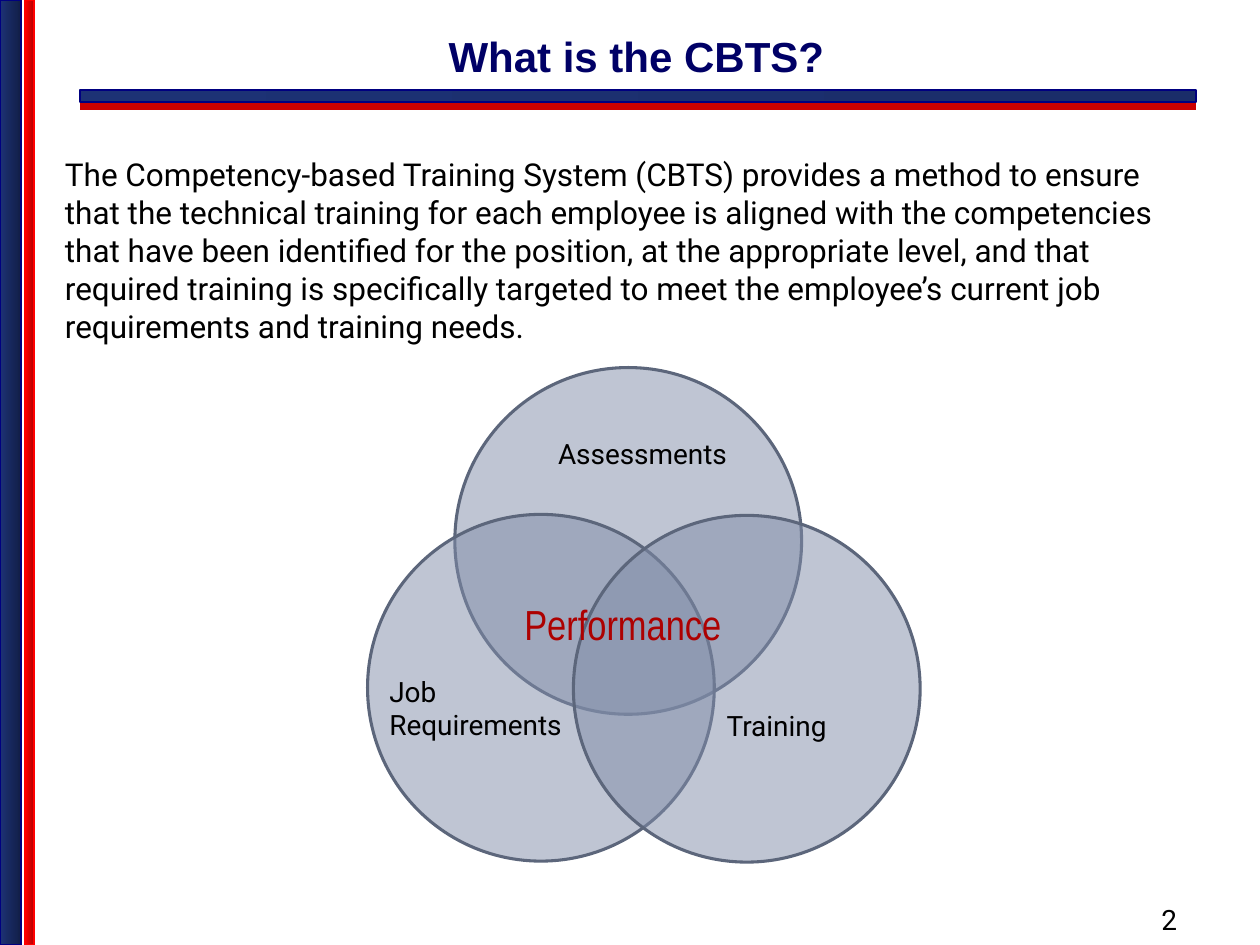
from lxml import etree
from pptx import Presentation
from pptx.dml.color import RGBColor
from pptx.enum.shapes import MSO_CONNECTOR, MSO_SHAPE
from pptx.enum.text import MSO_ANCHOR, PP_ALIGN
from pptx.oxml.ns import qn
from pptx.util import Cm, Pt

RECTANGLE, OVAL = MSO_SHAPE.RECTANGLE, MSO_SHAPE.OVAL
STRAIGHT = MSO_CONNECTOR.STRAIGHT
LEFT, CENTER = PP_ALIGN.LEFT, PP_ALIGN.CENTER
TOP, BOTTOM = MSO_ANCHOR.TOP, MSO_ANCHOR.BOTTOM

BLACK = RGBColor(0x00, 0x00, 0x00)
TITLE_NAVY = RGBColor(0x00, 0x00, 0x66)
EDGE_NAVY = RGBColor(0x00, 0x00, 0x80)
BAR_BLUE = RGBColor(0x1D, 0x32, 0x75)
RULE_BLUE = RGBColor(0x1A, 0x2D, 0x69)
DEEP_BLUE = RGBColor(0x11, 0x1E, 0x46)
RED = RGBColor(0xFF, 0x00, 0x00)
DARK_RED = RGBColor(0xB2, 0x00, 0x00)
RULE_RED = RGBColor(0xCC, 0x00, 0x00)
FOCUS_RED = RGBColor(0xAD, 0x01, 0x01)
CIRCLE_FILL = RGBColor(0x80, 0x8D, 0xA9)
CIRCLE_EDGE = RGBColor(0x5C, 0x66, 0x7B)

SLIDE_WIDTH, SLIDE_HEIGHT = 25.4, 19.05
DIAMETER = 6.99
BODY = (
    "The Competency-based Training System (CBTS) provides a method to ensure "
    "that the technical training for each employee is aligned with the "
    "competencies that have been identified for the position, at the "
    "appropriate level, and that required training is specifically targeted "
    "to meet the employee’s current job requirements and training needs."
)


def add_bar(slide, left, top, width, height, colors, edge):
    """Rectangle with a left-to-right gradient."""
    bar = slide.shapes.add_shape(RECTANGLE, Cm(left), Cm(top), Cm(width), Cm(height))
    bar.shadow.inherit = False
    bar.fill.gradient()
    bar.fill.gradient_angle = 0
    for stop, color in zip(bar.fill.gradient_stops, colors):
        stop.color.rgb = color
    bar.line.color.rgb = edge
    bar.line.width = Pt(1)


def add_rule(slide, left, right, y):
    rule = slide.shapes.add_connector(STRAIGHT, Cm(left), Cm(y), Cm(right), Cm(y))
    rule.line.color.rgb = RULE_RED
    rule.line.width = Pt(4)
    etree.SubElement(rule._element.spPr, qn("a:effectLst"))


def add_circle(slide, left, top):
    """Half-transparent circle of the Venn diagram."""
    circle = slide.shapes.add_shape(
        OVAL, Cm(left), Cm(top), Cm(DIAMETER), Cm(DIAMETER))
    circle.shadow.inherit = False
    circle.fill.solid()
    circle.fill.fore_color.rgb = CIRCLE_FILL
    color = circle._element.spPr.find(qn("a:solidFill")).find(qn("a:srgbClr"))
    etree.SubElement(color, qn("a:alpha"), val="50000")
    circle.line.color.rgb = CIRCLE_EDGE
    circle.line.width = Pt(1.75)


def add_text(slide, text, left, top, width, height, size=16, font="Roboto",
             color=BLACK, bold=False, align=LEFT, anchor=TOP):
    box = slide.shapes.add_textbox(Cm(left), Cm(top), Cm(width), Cm(height))
    frame = box.text_frame
    frame.word_wrap = True
    frame.vertical_anchor = anchor
    paragraph = frame.paragraphs[0]
    paragraph.text = text
    paragraph.alignment = align
    paragraph.font.name = font
    paragraph.font.size = Pt(size)
    paragraph.font.bold = bold
    paragraph.font.color.rgb = color


def main():
    prs = Presentation()
    prs.slide_width, prs.slide_height = Cm(SLIDE_WIDTH), Cm(SLIDE_HEIGHT)
    slide = prs.slides.add_slide(prs.slide_layouts[6])

    # Header rule and side stripes
    add_rule(slide, 1.61, 24.11, 2.14)
    add_bar(slide, 1.61, 1.82, 22.5, 0.24, (BAR_BLUE, RULE_BLUE), EDGE_NAVY)
    add_bar(slide, 0, 0, 0.43, SLIDE_HEIGHT, (BAR_BLUE, DEEP_BLUE), EDGE_NAVY)
    add_bar(slide, 0.51, 0, 0.18, SLIDE_HEIGHT, (RED, DARK_RED), RED)

    # Title, page number and definition
    add_text(slide, "What is the CBTS?", 2.67, 0.2, 20.32, 1.55, size=24,
             font="Arial", color=TITLE_NAVY, bold=True, align=CENTER, anchor=BOTTOM)
    add_text(slide, "2", 23.01, 18.06, 1.12, 0.94, align=CENTER)
    add_text(slide, BODY, 1.06, 3.01, 22.6, 4.06, size=18)

    # Venn diagram: assessments, job requirements, training
    for left, top in ((9.17, 7.41), (7.41, 10.37), (11.56, 10.39)):
        add_circle(slide, left, top)

    # Diagram labels
    add_text(slide, "Performance", 10.32, 11.94, 5.08, 2.29, size=24,
             font="Arial Narrow", color=FOCUS_RED)
    add_text(slide, "Assessments", 11, 8.68, 4.04, 0.94)
    add_text(slide, "Job Requirements", 7.6, 13.47, 4.01, 2.29)
    add_text(slide, "Training", 14.4, 14.15, 3.02, 0.94)

    prs.save("out.pptx")


if __name__ == "__main__":
    main()
